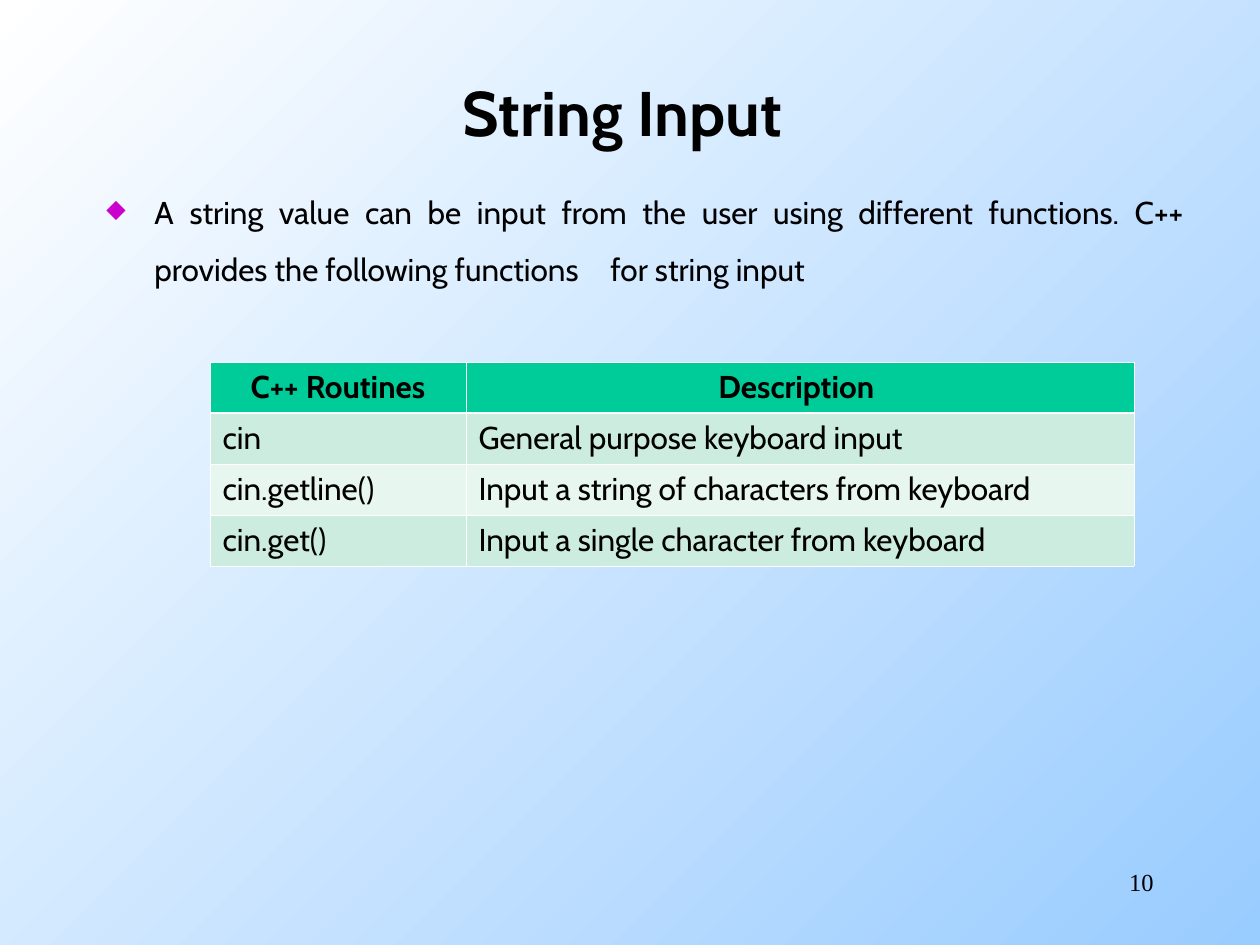
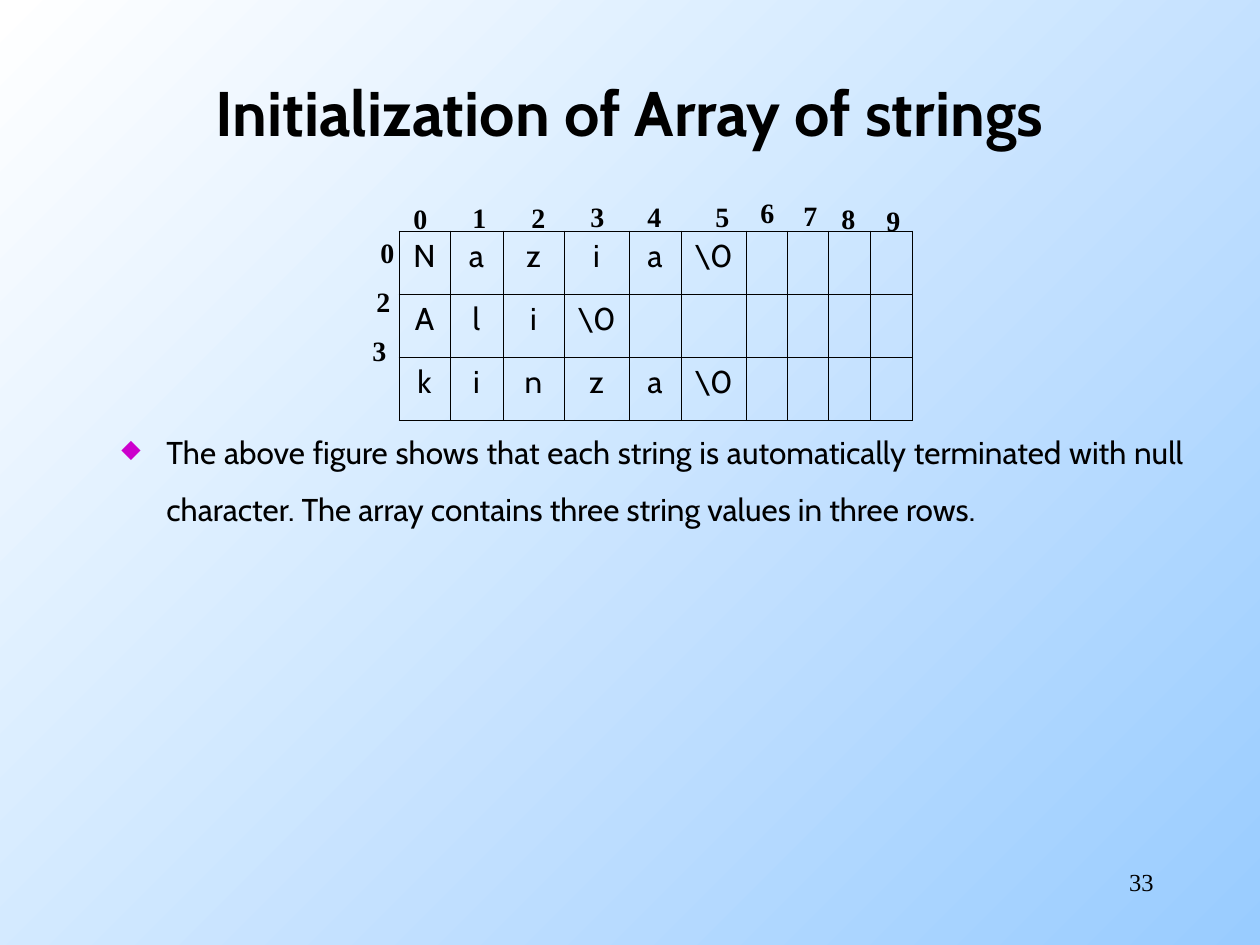
from lxml import etree
from pptx import Presentation
from pptx.dml.color import RGBColor
from pptx.enum.text import MSO_ANCHOR, PP_ALIGN
from pptx.oxml.ns import qn
from pptx.util import Pt

LEFT, MID, RIGHT, JUST = PP_ALIGN.LEFT, PP_ALIGN.CENTER, PP_ALIGN.RIGHT, PP_ALIGN.JUSTIFY
TOP, CENTER = MSO_ANCHOR.TOP, MSO_ANCHOR.MIDDLE
BLACK = RGBColor(0x00, 0x00, 0x00)
WHITE = RGBColor(0xFF, 0xFF, 0xFF)
SKY = RGBColor(0x99, 0xCC, 0xFF)
PINK = RGBColor(0xCC, 0x00, 0xCC)
GREEN = RGBColor(0x00, 0xCC, 0x99)
MINT = RGBColor(0xCB, 0xEC, 0xDE)
PALE = RGBColor(0xE7, 0xF6, 0xEF)
SANS, SERIF = "Cabin", "Times New Roman"
INCH = 914400
ROW = 51
THIN, THICK = 0.45, 1.47


def px(n):
    return round(n * INCH / 126)


def sub(node, tag, **attrs):
    return etree.SubElement(node, qn(tag), {k: str(v) for k, v in attrs.items()})


class Deck:
    def __init__(self):
        self.prs = Presentation()
        self.prs.slide_width, self.prs.slide_height = px(1260), px(945)
        fill = self.prs.slide_master.background.fill
        fill.gradient()
        fill.gradient_angle = 315
        for stop, color in zip(fill.gradient_stops, (WHITE, SKY)):
            stop.color.rgb = color

    def page(self, title, number):
        self.slide = self.prs.slides.add_slide(self.prs.slide_layouts[6])
        self.text(number, (904, 861, 262, 63), 14, SERIF, align=RIGHT)
        self.text(title, (94, 32, 1071, 158), 36, bold=True, align=MID, anchor=CENTER)

    def run(self, para, words, size, font=SANS, bold=False, align=LEFT):
        para.alignment = align
        run = para.add_run()
        run.text = words
        run.font.size, run.font.name, run.font.bold = Pt(size), font, bold
        run.font.color.rgb = BLACK

    def text(self, words, box, size, font=SANS, bold=False, align=LEFT, anchor=TOP):
        frame = self.slide.shapes.add_textbox(*map(px, box)).text_frame
        frame.word_wrap = True
        frame.vertical_anchor = anchor
        self.run(frame.paragraphs[0], words, size, font, bold, align)
        return frame

    def bullet(self, words, left, hang, drop=0):
        frame = self.text(words, (94, 168, 1102, 735), 18, align=JUST)
        frame.margin_top = px(6 + drop)
        para = frame.paragraphs[0]
        para.line_spacing, para.space_before = 1.5, Pt(4.5)
        props = para._p.get_or_add_pPr()
        props.set("marL", str(px(left)))
        props.set("indent", str(-px(hang)))
        sub(sub(props, "a:buClr"), "a:srgbClr", val=PINK)
        sub(props, "a:buSzPct", val=80000)
        sub(props, "a:buChar", char="◆")
        tabs = sub(props, "a:tabLst")
        for n in range(1, 9):
            sub(tabs, "a:tab", pos=n * INCH, algn="l")

    def edge(self, cell, side, color, width):
        line = sub(cell._tc.get_or_add_tcPr(), f"a:ln{side}", w=Pt(width))
        sub(sub(line, "a:solidFill"), "a:srgbClr", val=color)

    def table(self, left, top, widths, rows, line, fills=None, head=False, align=LEFT):
        frame = self.slide.shapes.add_table(
            len(rows), len(widths), px(left), px(top), px(sum(widths)), px(ROW * len(rows)))
        grid = frame.table
        grid.first_row = grid.horz_banding = False
        for col, width in zip(grid.columns, widths):
            col.width = px(width)
        for r, row in enumerate(rows):
            grid.rows[r].height = px(ROW)
            for c in range(len(widths)):
                cell = grid.cell(r, c)
                above = THICK if head and r == 1 else THIN
                below = THICK if head and r == 0 else THIN
                for side, width in zip("LRTB", (THIN, THIN, above, below)):
                    self.edge(cell, side, line, width)
                if fills:
                    cell.fill.solid()
                    cell.fill.fore_color.rgb = fills[r]
                else:
                    cell.fill.background()
                para = cell.text_frame.paragraphs[0]
                if c < len(row):
                    first = head and r == 0
                    self.run(para, row[c], 18, bold=first, align=MID if first else align)
                else:
                    end = sub(para._p, "a:endParaRPr", sz=2400)
                    sub(end, "a:latin", typeface=SERIF)

    def label(self, digit, left, top):
        self.text(str(digit), (left, top, 30, 47), 16, SERIF, bold=True)


def main():
    deck = Deck()

    deck.page("String Input ", "10")
    deck.bullet("A string value can be input from the user using different functions. "
                "C++ provides the following functions \tfor string input", 48, 48)
    routines = [
        ("C++ Routines", "Description "),
        ("cin", "General purpose keyboard input"),
        ("cin.getline()", "Input a string of characters from keyboard"),
        ("cin.get()", "Input a single character from keyboard"),
    ]
    deck.table(210, 362, (256, 668), routines, WHITE, (GREEN, MINT, PALE, MINT), head=True)

    deck.page("Initialization of Array of strings", "33")
    deck.bullet("The above figure shows that each string is automatically terminated with "
                "null character. The array contains three string values in three rows.",
                60, 45, drop=240)
    names = [[*name, "\\0"] for name in ("Nazia", "Ali", "kinza")]
    deck.table(399, 231, (51, 53, 61, 65, 52, 65, 41, 42, 42, 42), names, BLACK, align=MID)
    lefts = (401, 460, 519, 578, 635, 703, 748, 791, 829, 874)
    tops = (195, 194, 194, 193, 193, 193, 189, 192, 195, 197)
    for digit, (left, top) in enumerate(zip(lefts, tops)):
        deck.label(digit, left, top)
    for n, digit in enumerate((0, 2, 3)):
        deck.label(digit, 368 - 4 * n, 229 + 49 * n)

    deck.prs.save("out.pptx")


if __name__ == "__main__":
    main()
